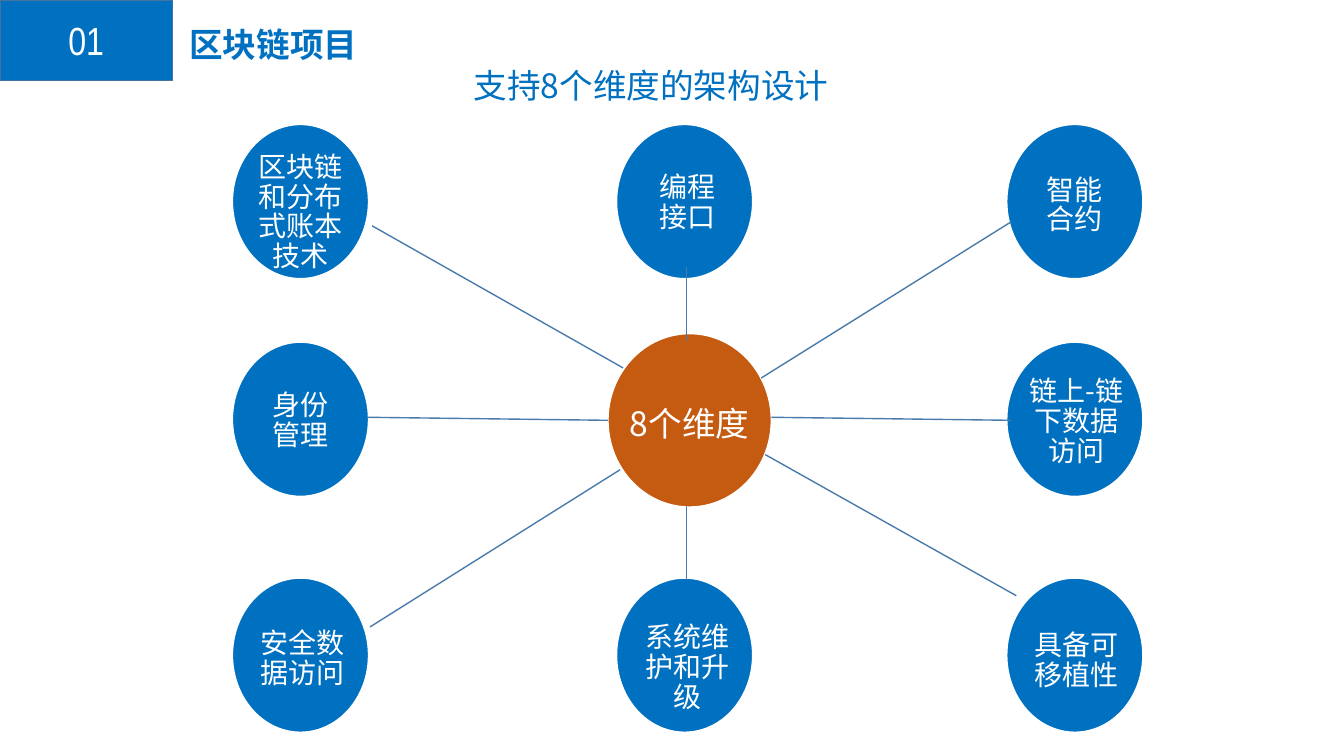
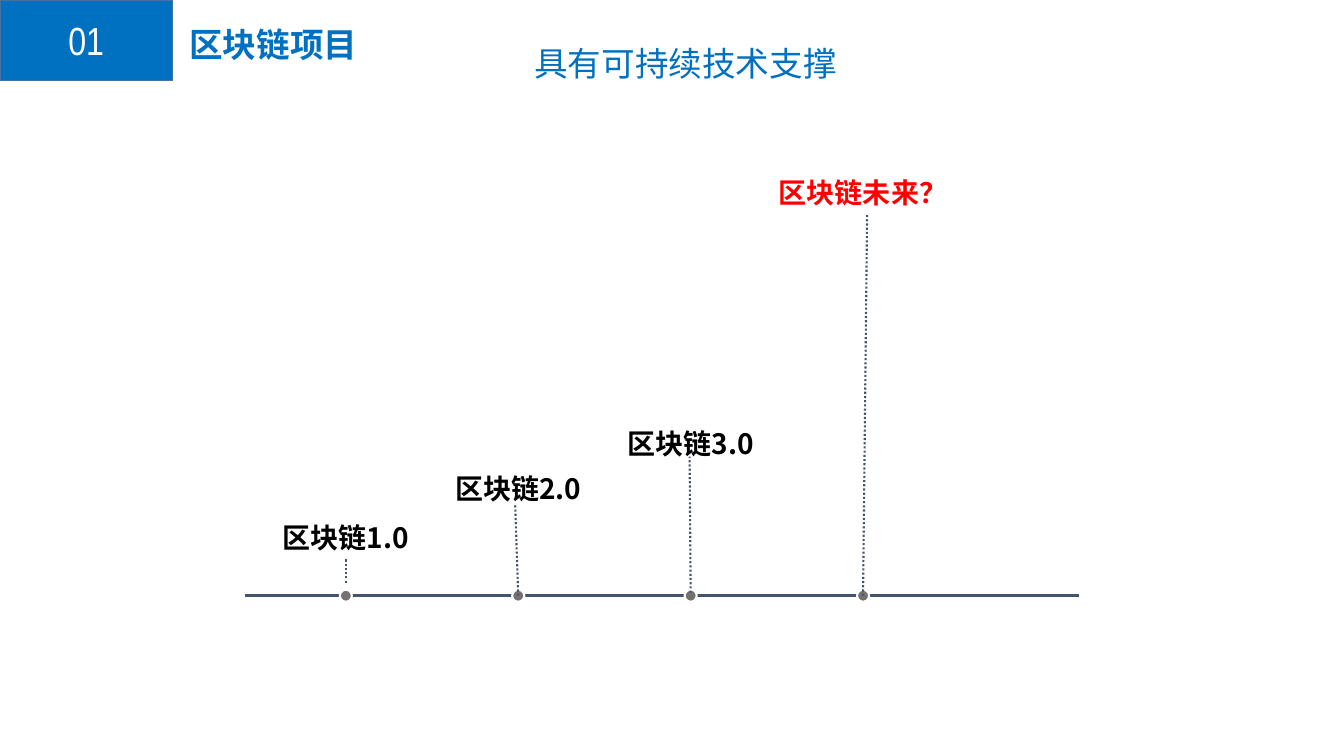
from dataclasses import dataclass
from itertools import pairwise

import pptx
import pptx.dml.color
import pptx.enum.dml
import pptx.enum.shapes
import pptx.enum.text
import pptx.oxml.ns
import pptx.util
from lxml import etree

Inches = pptx.util.Inches
Pt = pptx.util.Pt
SHAPE = pptx.enum.shapes.MSO_SHAPE
ALIGN = pptx.enum.text.PP_ALIGN
qn = pptx.oxml.ns.qn


@dataclass(frozen=True)
class Theme:
    blue: str = "0070C0"
    blue_edge: str = "43739E"
    spoke: str = "497CAB"
    orange: str = "C55A11"
    axis: str = "44546A"
    dot: str = "767171"
    red: str = "FF0000"
    black: str = "000000"
    white: str = "FFFFFF"
    font: str = "Noto Sans CJK SC"
    number_font: str = "Arial Narrow"
    number: int = 28
    title: int = 24
    label: int = 20
    leading: float = 1.34  # line height in ems for single lines
    tight: float = 1.07    # line height in ems for wrapped lines


T = Theme()
SLIDE_W, SLIDE_H = 13.33, 7.5

# Radial diagram: centres of the columns and rows of petals
COLS = (2.98, 6.79, 10.66)
ROWS = (2.0, 4.16, 6.5)
PETAL = (1.35, 1.53)
HUB = (6.84, 4.17, 1.62, 1.72)
SIDE = 0.1  # extra side inset that keeps two characters to a line

# text, column, row, side inset, text shift (x, y), spoke (hub end, petal end)
PETALS = [
    ("区块链和分布式账本技术", 0, 0, 0, (0, 0.11), ((6.18, 3.65), (3.69, 2.24))),
    ("编程接口", 1, 0, SIDE, (0.03, 0.02), ((6.81, 3.38), (6.81, 2.65))),
    ("智能合约", 2, 0, SIDE, (0, 0.04), ((7.55, 3.75), (10.03, 2.2))),
    ("身份管理", 0, 1, SIDE, (0, 0.02), ((6.03, 4.17), (3.65, 4.14))),
    ("链上-链下数据访问", 2, 1, 0, (0.02, 0.03), ((7.65, 4.14), (10.03, 4.17))),
    ("安全数据访问", 0, 2, 0, (0.02, 0.04), ((6.15, 4.66), (3.67, 6.22))),
    ("系统维护和升级", 1, 2, 0, (0.03, 0.13), ((6.81, 5.02), (6.81, 5.75))),
    ("具备可移植性", 2, 2, 0, (0.02, 0.06), ((7.59, 4.51), (10.08, 5.91))),
]

# Timeline: evenly spaced stages on one axis
AXIS_Y, AXIS_START, AXIS_END = 5.91, 2.43, 10.7
STAGE_X, STAGE_STEP = 3.43, 1.71
DOT, DOT_GAP = 0.12, 0.05

# text, colour, label centre, stem foot, stem top, lean of the stem
STAGES = [
    ("区块链1.0", T.black, 5.31, 5.78, 5.53, 0),
    ("区块链2.0", T.black, 4.83, 5.91, 5.01, -0.03),
    ("区块链3.0", T.black, 4.38, 5.88, 4.53, -0.01),
    ("区块链未来？", T.red, 1.89, 5.91, 2.12, 0.04),
]


def rgb(value):
    return pptx.dml.color.RGBColor.from_string(value)


def write(sp, text, *, size, color, font=T.font, bold=False, align=ALIGN.CENTER,
          leading=T.leading, wrap=False, side=0.01, shift=(0, 0)):
    """Set one vertically centred paragraph, optionally shifted in its shape."""
    dx, dy = shift
    tf = sp.text_frame
    tf.word_wrap = wrap
    tf.vertical_anchor = pptx.enum.text.MSO_ANCHOR.MIDDLE
    tf.margin_left, tf.margin_right = Inches(side + dx), Inches(side - dx)
    tf.margin_top, tf.margin_bottom = Inches(dy), Inches(-dy)
    p = tf.paragraphs[0]
    p.alignment = align
    if leading:
        p.line_spacing = Pt(round(size * leading, 1))
    r = p.add_run()
    r.text = text
    r.font.name, r.font.size, r.font.bold = font, Pt(size), bold
    r.font.color.rgb = rgb(color)
    ea = etree.SubElement(r.font._element, qn("a:ea"))
    ea.set("typeface", font)


def add_text(s, text, x, y, w, h=0.5, **fmt):
    """Add a text box whose vertical middle is y."""
    sp = s.shapes.add_textbox(Inches(x), Inches(y - h / 2), Inches(w), Inches(h))
    write(sp, text, **fmt)


def add_shape(s, kind, cx, cy, w, h, fill, edge, weight=1):
    """Add a filled shape centred on (cx, cy)."""
    sp = s.shapes.add_shape(kind, Inches(cx - w / 2), Inches(cy - h / 2),
                            Inches(w), Inches(h))
    sp.shadow.inherit = False
    sp.fill.solid()
    sp.fill.fore_color.rgb = rgb(fill)
    sp.line.color.rgb = rgb(edge)
    sp.line.width = Pt(weight)
    return sp


def add_line(s, start, end, color, weight, dash=None):
    sp = s.shapes.add_connector(pptx.enum.shapes.MSO_CONNECTOR.STRAIGHT,
                                *(Inches(v) for v in (*start, *end)))
    sp.line.color.rgb = rgb(color)
    sp.line.width = Pt(weight)
    if dash:
        sp.line.dash_style = dash
    etree.SubElement(sp._element.spPr, qn("a:effectLst"))


def add_slide(prs, heading, x, y, w):
    """Start a slide with the numbered tab, section title and heading."""
    s = prs.slides.add_slide(prs.slide_layouts[6])
    tab = add_shape(s, SHAPE.RECTANGLE, 0.855, 0.4, 1.71, 0.8, T.blue, T.blue_edge)
    write(tab, "01", size=T.number, color=T.white, font=T.number_font, leading=None)
    title = dict(size=T.title, color=T.blue, align=ALIGN.LEFT)
    add_text(s, "区块链项目", 1.78, 0.41, 4, bold=True, side=0.1, **title)
    add_text(s, heading, x, y, w, side=0.1, **title)
    return s


def add_radial(s):
    # Petals around the hub
    for text, col, row, side, shift, _ in PETALS:
        sp = add_shape(s, SHAPE.OVAL, COLS[col], ROWS[row], *PETAL, T.blue, T.white)
        write(sp, text, size=T.label, color=T.white, leading=T.tight,
              wrap=True, side=0.01 + side, shift=shift)
    hub = add_shape(s, SHAPE.OVAL, *HUB, T.orange, T.white)
    write(hub, "8个维度", size=T.title, color=T.white)
    # Spokes lie on top
    for *_, spoke in PETALS:
        add_line(s, *spoke, T.spoke, 1)


def add_timeline(s):
    xs = [STAGE_X + i * STAGE_STEP for i in range(len(STAGES))]
    # Axis, broken at each dot
    breaks = [AXIS_START - DOT_GAP, *xs, AXIS_END + DOT_GAP]
    for left, right in pairwise(breaks):
        add_line(s, (left + DOT_GAP, AXIS_Y), (right - DOT_GAP, AXIS_Y), T.axis, 1.75)
    # Dots, stems and labels
    for x, (text, color, label_y, foot, top, lean) in zip(xs, STAGES):
        add_shape(s, SHAPE.OVAL, x, AXIS_Y, DOT, DOT, T.dot, T.white, 1.5)
        add_line(s, (x, foot), (x + lean, top), T.axis, 1.5,
                 pptx.enum.dml.MSO_LINE.ROUND_DOT)
        add_text(s, text, x - 0.9, label_y, 1.8, size=T.label, color=color, bold=True)


def main():
    prs = pptx.Presentation()
    prs.slide_width, prs.slide_height = Inches(SLIDE_W), Inches(SLIDE_H)
    add_radial(add_slide(prs, "支持8个维度的架构设计", 4.6, 0.82, 4.14))
    add_timeline(add_slide(prs, "具有可持续技术支撑", 5.2, 0.6, 3.38))
    prs.save("out.pptx")


if __name__ == "__main__":
    main()
